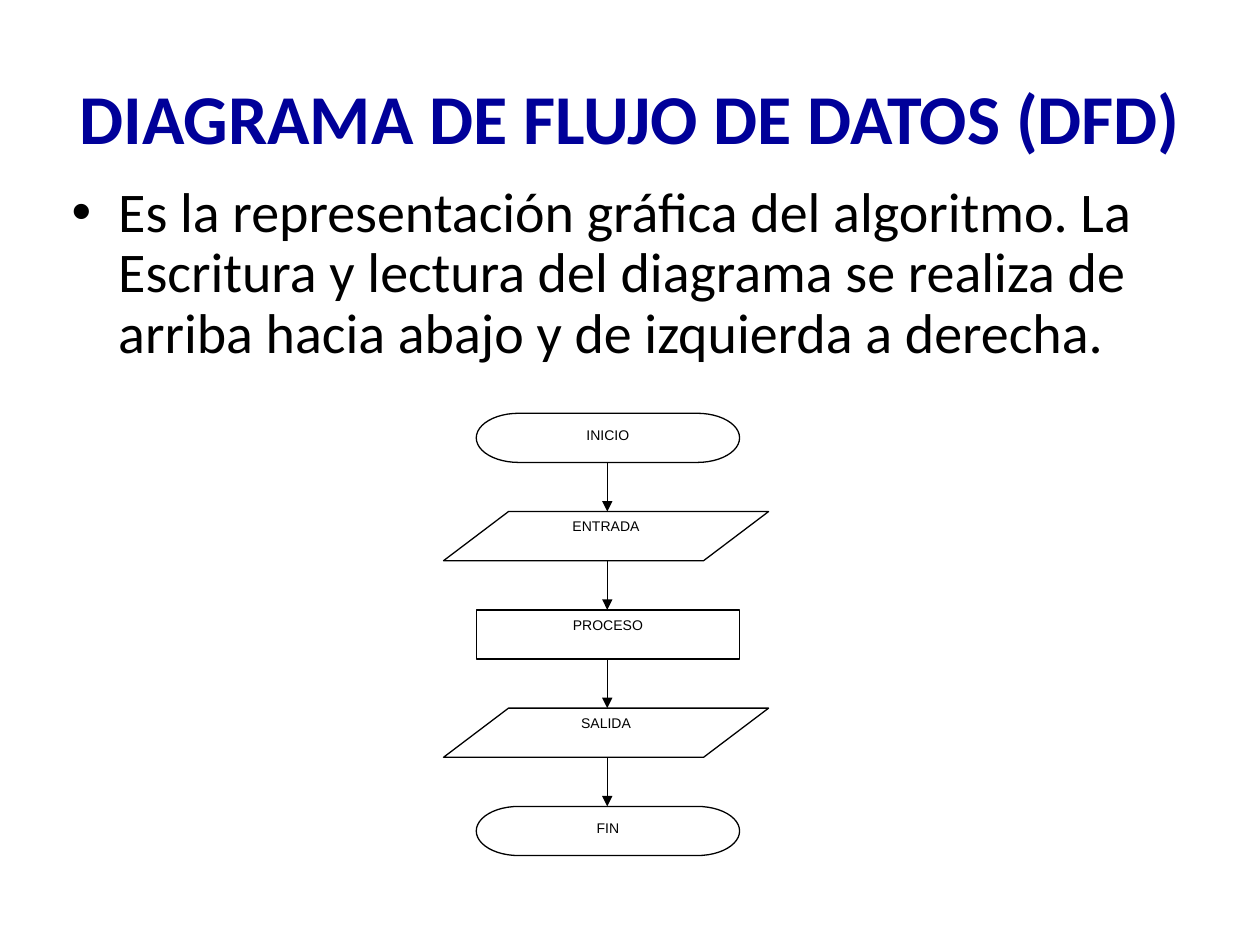
from lxml import etree
from pptx import Presentation
from pptx import util as u
from pptx.dml.color import RGBColor
from pptx.enum import shapes, text
from pptx.oxml.ns import qn

NAVY = RGBColor(0x00, 0x00, 0x99)
BLACK = RGBColor(0x00, 0x00, 0x00)
WHITE = RGBColor(0xFF, 0xFF, 0xFF)

deck = Presentation()
deck.slide_width, deck.slide_height = u.Inches(10), u.Inches(7.5)
page = deck.slides.add_slide(deck.slide_layouts[6])


def write(box, words, font, size, color, anchor, align):
    """Put one run of text in the box and return its paragraph."""
    frame = box.text_frame
    frame.word_wrap = True
    frame.vertical_anchor = anchor
    para = frame.paragraphs[0]
    para.alignment = align
    span = para.add_run()
    span.text = words
    span.font.name = font
    span.font.size = u.Pt(size)
    span.font.color.rgb = color
    return para


# Heading and definition
title = page.shapes.add_textbox(u.Inches(0.5), u.Inches(0.3), u.Inches(9), u.Inches(1.25))
para = write(title, "DIAGRAMA DE FLUJO DE DATOS (DFD)", "Calibri", 40, NAVY,
             text.MSO_ANCHOR.MIDDLE, text.PP_ALIGN.CENTER)
para.runs[0].font.bold = True

body = page.shapes.add_textbox(u.Inches(0.47), u.Inches(1.41), u.Inches(9), u.Inches(1.69))
para = write(body, "Es la representación gráfica del algoritmo. La Escritura y lectura "
             "del diagrama se realiza de arriba hacia abajo y de izquierda a derecha.",
             "Calibri", 32, BLACK, text.MSO_ANCHOR.TOP, text.PP_ALIGN.LEFT)
para.line_spacing = 0.9
para.space_before = u.Pt(8)
props = para._p.get_or_add_pPr()
props.set("marL", str(u.Inches(0.37)))
props.set("indent", str(-u.Inches(0.37)))
etree.SubElement(props, qn("a:buFont")).set("typeface", "Arial")
etree.SubElement(props, qn("a:buChar")).set("char", "•")

# Flow chart: one step per row, an arrow between rows
TOP, ROW, STEP_HEIGHT, AXIS = 3.28, 0.78, 0.39, 4.82
TERMINATOR = (shapes.MSO_SHAPE.FLOWCHART_TERMINATOR, 3.78, 2.09)
DATA = (shapes.MSO_SHAPE.FLOWCHART_DATA, 3.52, 2.58)
PROCESS = (shapes.MSO_SHAPE.FLOWCHART_PROCESS, 3.78, 2.09)
steps = [("INICIO", TERMINATOR), ("ENTRADA", DATA), ("PROCESO", PROCESS),
         ("SALIDA", DATA), ("FIN", TERMINATOR)]

for row, (label, (kind, left, width)) in enumerate(steps):
    step = page.shapes.add_shape(kind, u.Inches(left), u.Inches(TOP + row * ROW),
                                 u.Inches(width), u.Inches(STEP_HEIGHT))
    step.shadow.inherit = False
    step.fill.solid()
    step.fill.fore_color.rgb = WHITE
    step.line.color.rgb = BLACK
    step.line.width = u.Pt(0.75)
    para = write(step, label, "Arial", 8, BLACK,
                 text.MSO_ANCHOR.TOP, text.PP_ALIGN.CENTER)
    para.space_after = u.Pt(10)

for row in range(len(steps) - 1):
    start = TOP + row * ROW + STEP_HEIGHT
    arrow = page.shapes.add_connector(shapes.MSO_CONNECTOR.STRAIGHT,
                                      u.Inches(AXIS), u.Inches(start),
                                      u.Inches(AXIS), u.Inches(start + ROW - STEP_HEIGHT))
    arrow.line.color.rgb = BLACK
    arrow.line.width = u.Pt(0.75)
    etree.SubElement(arrow.line._get_or_add_ln(), qn("a:tailEnd")).set("type", "triangle")
    etree.SubElement(arrow._element.spPr, qn("a:effectLst"))

deck.save("out.pptx")
